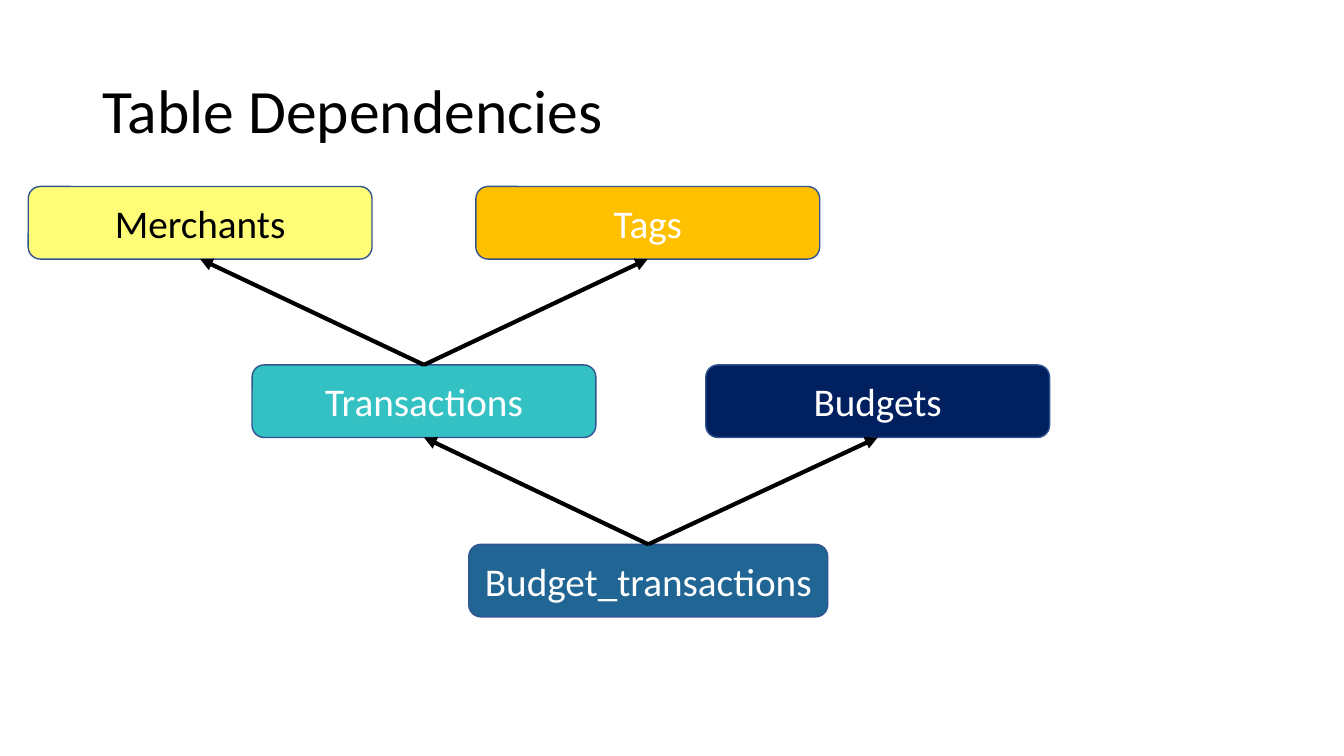
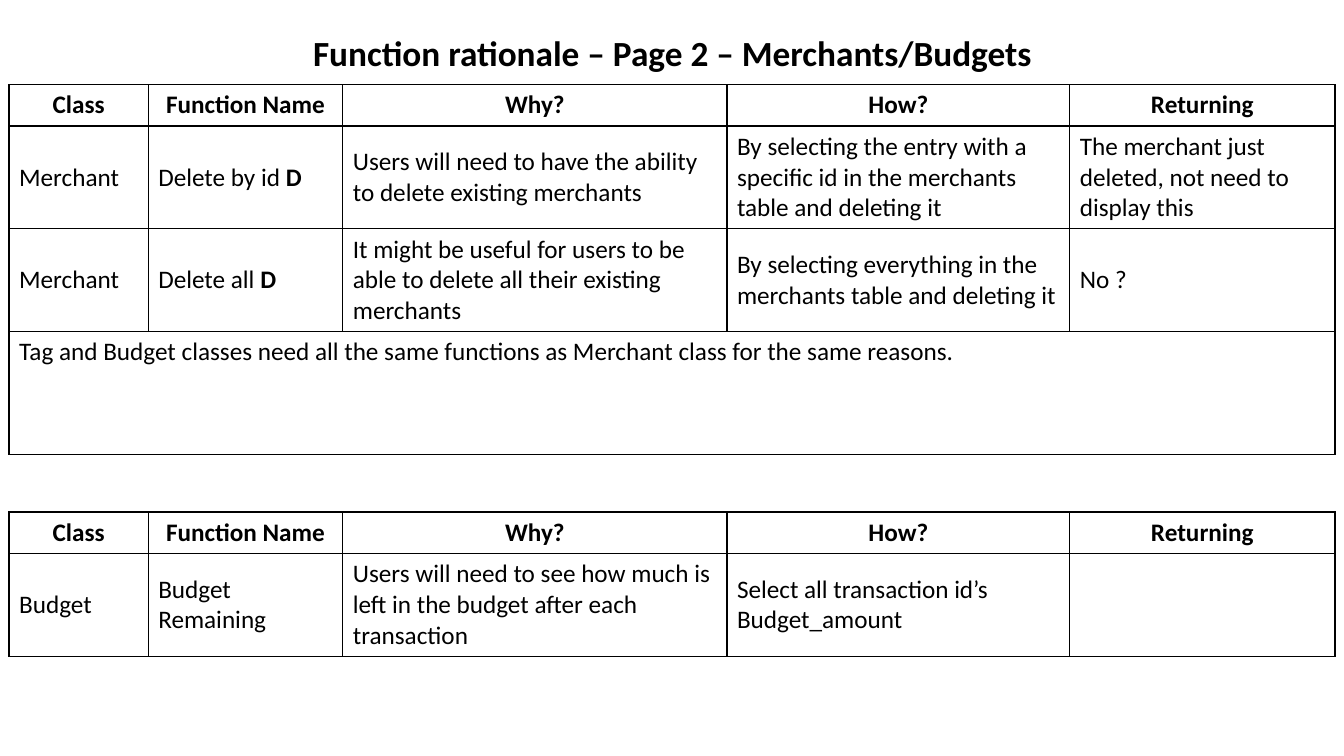
from dataclasses import dataclass

from lxml.etree import SubElement
from pptx import Presentation
from pptx.dml.color import RGBColor
from pptx.enum.shapes import MSO_CONNECTOR as Connector, MSO_SHAPE as Shape
from pptx.enum.text import MSO_ANCHOR as Anchor, PP_ALIGN as Align
from pptx.oxml import parse_xml
from pptx.oxml.ns import nsdecls, qn
from pptx.util import Inches, Pt


@dataclass(frozen=True)
class Theme:
    font: str = "Calibri"
    black: str = "000000"
    white: str = "FFFFFF"
    outline: str = "325491"
    yellow: str = "FFFD78"
    amber: str = "FFC000"
    teal: str = "33C1C4"
    navy: str = "002060"
    blue: str = "206593"
    title_size: float = 44
    table_title_size: float = 25.2
    box_size: float = 28
    cell_size: float = 18
    border: float = 1
    arrow: float = 3


THEME = Theme()
BOLD_MARK = "**"
TOP, BOTTOM = 0, 2
BOX_WIDTH, BOX_HEIGHT = 3.41, 0.72
TABLE_LEFT = 0.09
COLUMNS = [1.38, 1.93, 3.81, 3.4, 2.63]
HEADER_HEIGHT, ENTRY_HEIGHT, NOTE_HEIGHT = 0.41, 1.02, 1.22
HEADERS = ["Class", "Function Name", "Why?", "How?", "Returning"]
MERCHANT_ENTRIES = [
    ["Merchant", "Delete by id **D",
     "Users will need to have the ability to delete existing merchants",
     "By selecting the entry with a specific id in the merchants table and deleting it",
     "The merchant just deleted, not need to display this"],
    ["Merchant", "Delete all **D",
     "It might be useful for users to be able to delete all their existing merchants",
     "By selecting everything in the merchants table and deleting it",
     "No ?"],
]
MERCHANT_NOTE = ("Tag and Budget classes need all the same functions "
                 "as Merchant class for the same reasons.")
BUDGET_ENTRIES = [
    ["Budget", "Budget Remaining",
     "Users will need to see how much is left in the budget after each transaction",
     "Select all transaction id’s\nBudget_amount", ""],
]


class Builder:
    def __init__(self, theme):
        self.theme = theme
        self.deck = Presentation()
        self.deck.slide_width = Inches(13.33)
        self.deck.slide_height = Inches(7.5)
        self.page = None

    def add_page(self):
        self.page = self.deck.slides.add_slide(self.deck.slide_layouts[6])

    def set_text(self, frame, text, size, color, align=Align.LEFT, bold=False):
        frame.word_wrap = True
        frame.text = text.replace(BOLD_MARK, "")
        for para, line in zip(frame.paragraphs, text.split("\n")):
            para.alignment = align
            plain, mark, strong = line.partition(BOLD_MARK)
            if mark:
                para.runs[0].text = plain
                para.add_run().text = strong
            for index, span in enumerate(para.runs):
                span.font.name = self.theme.font
                span.font.size = Pt(size)
                span.font.bold = bold or index > 0
                span.font.color.rgb = RGBColor.from_string(color)

    def title(self, text, height, size, **style):
        box = self.page.shapes.add_textbox(
            Inches(0.92), Inches(0.4), Inches(11.5), Inches(height))
        frame = box.text_frame
        frame.vertical_anchor = Anchor.MIDDLE
        self.set_text(frame, text, size, self.theme.black, **style)
        frame.paragraphs[0].line_spacing = 0.9

    def box(self, text, left, top, fill, color=THEME.white, width=BOX_WIDTH):
        box = self.page.shapes.add_shape(
            Shape.ROUNDED_RECTANGLE,
            Inches(left), Inches(top), Inches(width), Inches(BOX_HEIGHT))
        box.shadow.inherit = False
        box.fill.solid()
        box.fill.fore_color.rgb = RGBColor.from_string(fill)
        box.line.color.rgb = RGBColor.from_string(self.theme.outline)
        box.line.width = Pt(self.theme.border)
        box.text_frame.vertical_anchor = Anchor.MIDDLE
        self.set_text(box.text_frame, text, self.theme.box_size, color, Align.CENTER)
        return box

    def arrow(self, parent, child):
        arrow = self.page.shapes.add_connector(Connector.STRAIGHT, 0, 0, 0, 0)
        arrow.begin_connect(parent, BOTTOM)
        arrow.end_connect(child, TOP)
        arrow.line.color.rgb = RGBColor.from_string(self.theme.black)
        arrow.line.width = Pt(self.theme.arrow)
        properties = arrow.element.spPr
        SubElement(properties.find(qn("a:ln")), qn("a:headEnd"), type="triangle")
        SubElement(properties, qn("a:effectLst"))

    def style_cell(self, cell):
        cell.fill.background()
        properties = cell._tc.get_or_add_tcPr()
        for index, side in enumerate("LRTB"):
            properties.insert(index, parse_xml(
                f'<a:ln{side} {nsdecls("a")} w="{Pt(self.theme.border)}">'
                f'<a:solidFill><a:srgbClr val="{self.theme.black}"/></a:solidFill>'
                f'</a:ln{side}>'))

    def table(self, top, entries, note=None):
        rows = [HEADERS] + entries
        heights = [HEADER_HEIGHT] + [ENTRY_HEIGHT] * len(entries)
        if note:
            rows = rows + [[note]]
            heights.append(NOTE_HEIGHT)
        table = self.page.shapes.add_table(
            len(rows), len(COLUMNS), Inches(TABLE_LEFT), Inches(top),
            Inches(sum(COLUMNS)), Inches(sum(heights))).table
        table.first_row = table.horz_banding = False
        for column, width in zip(table.columns, COLUMNS):
            column.width = Inches(width)
        for row, height in zip(table.rows, heights):
            row.height = Inches(height)
            for cell in row.cells:
                self.style_cell(cell)
        for index, texts in enumerate(rows):
            header = index == 0
            is_entry = 0 < index <= len(entries)
            for cell, text in zip(table.rows[index].cells, texts):
                cell.vertical_anchor = Anchor.MIDDLE if is_entry else Anchor.TOP
                self.set_text(cell.text_frame, text, self.theme.cell_size,
                              self.theme.black,
                              Align.CENTER if header else Align.LEFT, header)
        if note:
            last = len(rows) - 1
            table.cell(last, 0).merge(table.cell(last, len(COLUMNS) - 1))


def dependencies_page(builder):
    theme = builder.theme
    builder.add_page()
    builder.title("Table Dependencies", 1.45, theme.title_size)
    merchants = builder.box("Merchants", 0.28, 1.85, theme.yellow, theme.black)
    tags = builder.box("Tags", 4.72, 1.85, theme.amber)
    budget_transactions = builder.box(
        "Budget_transactions", 4.65, 5.4, theme.blue, width=3.56)
    transactions = builder.box("Transactions", 2.5, 3.62, theme.teal)
    budgets = builder.box("Budgets", 7, 3.62, theme.navy)
    for parent, child in [(transactions, budget_transactions),
                          (budgets, budget_transactions),
                          (merchants, transactions),
                          (tags, transactions)]:
        builder.arrow(parent, child)


def rationale_page(builder):
    builder.add_page()
    builder.title("Function rationale – Page 2 – Merchants/Budgets", 0.29,
                  builder.theme.table_title_size, align=Align.CENTER, bold=True)
    builder.table(0.84, MERCHANT_ENTRIES, MERCHANT_NOTE)
    builder.table(5.08, BUDGET_ENTRIES)


def main():
    builder = Builder(THEME)
    dependencies_page(builder)
    rationale_page(builder)
    builder.deck.save("out.pptx")


if __name__ == "__main__":
    main()
